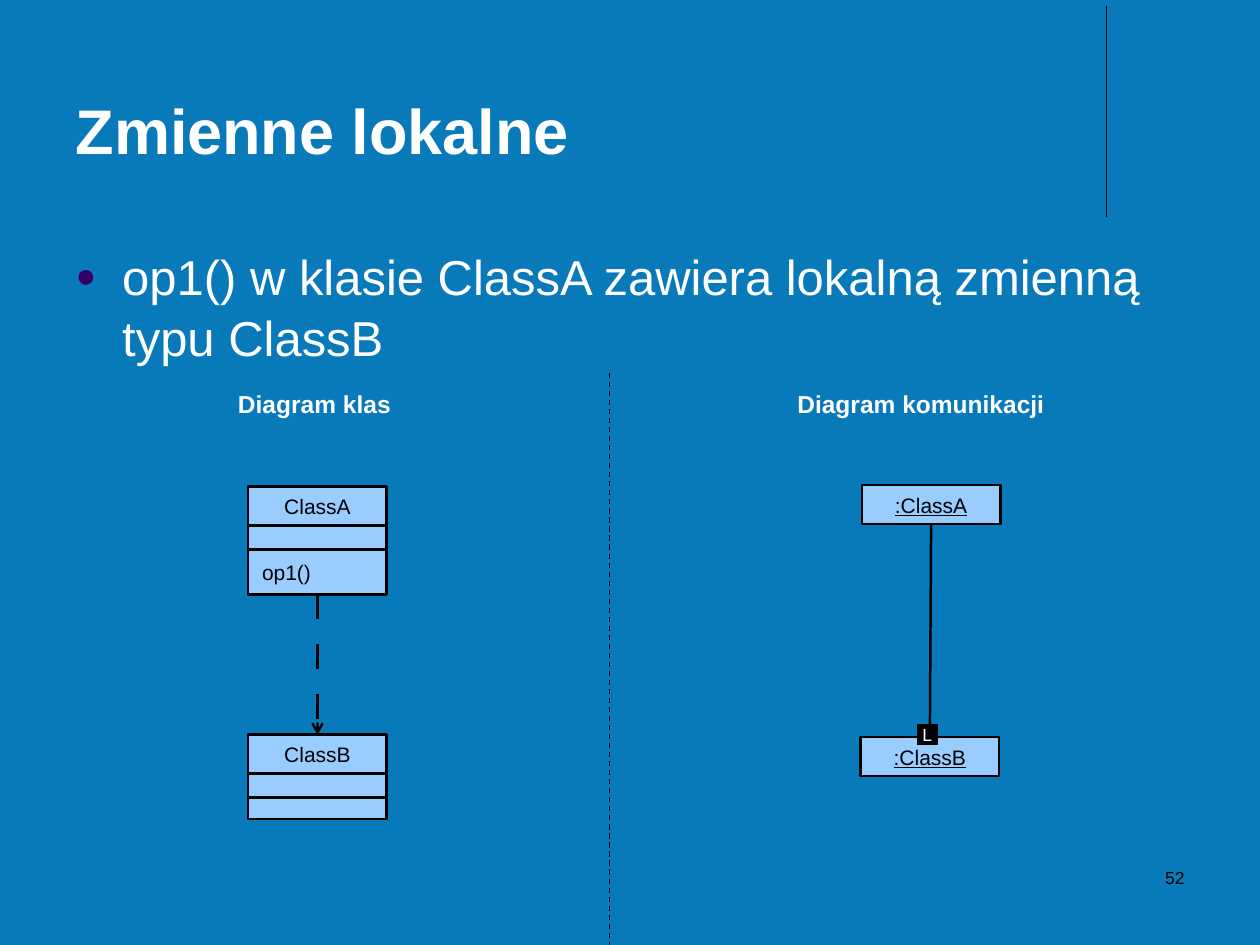
from lxml import etree
from pptx import Presentation
from pptx.dml.color import RGBColor
from pptx.enum.dml import MSO_LINE
from pptx.enum.shapes import MSO_CONNECTOR, MSO_SHAPE
from pptx.enum.text import MSO_ANCHOR, MSO_AUTO_SIZE, PP_ALIGN
from pptx.oxml.ns import qn
from pptx.util import Inches, Pt

RECT = MSO_SHAPE.RECTANGLE
STRAIGHT = MSO_CONNECTOR.STRAIGHT
DASH = MSO_LINE.DASH
LEFT, CENTER, RIGHT = PP_ALIGN.LEFT, PP_ALIGN.CENTER, PP_ALIGN.RIGHT
TOP, MIDDLE, BOTTOM = MSO_ANCHOR.TOP, MSO_ANCHOR.MIDDLE, MSO_ANCHOR.BOTTOM
NO_FIT = MSO_AUTO_SIZE.NONE

FONT = "Arial"
BLACK, WHITE = "000000", "FFFFFF"
BACKGROUND, BOX_FILL, BULLET = "097AB9", "99CCFF", "330066"
BOX_LINE = 1.42
BOX_W, NAME_H, ATTR_H = 1.1, 0.31, 0.19


def color(value):
    return RGBColor.from_string(value)


def write(s, text, size=12, c=BLACK, bold=False, underline=False, align=LEFT,
          anchor=TOP, inset=(0.1, 0.05), wrap=True):
    tf = s.text_frame
    tf.auto_size = NO_FIT
    tf.word_wrap = wrap
    tf.vertical_anchor = anchor
    tf.margin_left = tf.margin_right = Inches(inset[0])
    tf.margin_top = tf.margin_bottom = Inches(inset[1])
    p = tf.paragraphs[0]
    p.alignment = align
    p.space_before = Pt(0)
    r = p.add_run()
    r.text = text
    r.font.name = FONT
    r.font.size = Pt(size)
    r.font.bold = bold
    r.font.underline = underline
    r.font.color.rgb = color(c)
    return p


def place(s, x, y, w, h):
    s.left, s.top, s.width, s.height = (Inches(v) for v in (x, y, w, h))


def add_text(shapes, x, y, w, h, text, **style):
    s = shapes.add_textbox(*(Inches(v) for v in (x, y, w, h)))
    write(s, text, **style)


def add_box(shapes, x, y, h, w=BOX_W, fill=BOX_FILL, line=BOX_LINE):
    s = shapes.add_shape(RECT, *(Inches(v) for v in (x, y, w, h)))
    s.shadow.inherit = False
    s.fill.solid()
    s.fill.fore_color.rgb = color(fill)
    s.line.color.rgb = color(BLACK)
    s.line.width = Pt(line)
    return s


def add_line(shapes, x1, y1, x2, y2, width=BOX_LINE):
    s = shapes.add_connector(STRAIGHT, *(Inches(v) for v in (x1, y1, x2, y2)))
    s.line.color.rgb = color(BLACK)
    s.line.width = Pt(width)
    etree.SubElement(s._element.spPr, qn("a:effectLst"))
    return s


def add_dependency(shapes, x, y1, y2):
    ln = add_line(shapes, x, y1, x, y2).line._get_or_add_ln()
    dash = etree.SubElement(ln, qn("a:custDash"))
    etree.SubElement(dash, qn("a:ds"), d="1000000", sp="1000000")
    etree.SubElement(ln, qn("a:tailEnd"), type="arrow")


def add_class(shapes, x, y, name, operation_h, operation=None):
    group = shapes.add_group_shape().shapes
    box_style = {"anchor": MIDDLE, "inset": (0.11, 0.06)}
    write(add_box(group, x, y, NAME_H), name, align=CENTER, **box_style)
    add_box(group, x, y + NAME_H, ATTR_H)
    s = add_box(group, x, y + NAME_H + ATTR_H, operation_h)
    if operation:
        write(s, operation, **box_style)


def add_object(shapes, x, y, name):
    write(add_box(shapes, x, y, NAME_H), name, underline=True, align=CENTER,
          anchor=MIDDLE, inset=(0.11, 0.06))


def fill_title(s, text):
    place(s, 0.5, 0.13, 8.25, 1.25)
    write(s, text, size=36, c=WHITE, bold=True, anchor=BOTTOM)


def fill_body(s, text):
    place(s, 0.5, 1.88, 9, 1.16)
    p = write(s, text, size=28, c=WHITE)
    p.line_spacing = 1.05
    pPr = p._p.get_or_add_pPr()
    pPr.set("marL", str(Inches(0.37)))
    pPr.set("indent", str(-Inches(0.37)))
    bullet_color = etree.SubElement(pPr, qn("a:buClr"))
    etree.SubElement(bullet_color, qn("a:srgbClr"), val=BULLET)
    etree.SubElement(pPr, qn("a:buSzPct"), val="70000")
    etree.SubElement(pPr, qn("a:buFont"), typeface=FONT)
    etree.SubElement(pPr, qn("a:buChar"), char="●")


def main():
    prs = Presentation()
    prs.slide_width, prs.slide_height = Inches(10), Inches(7.5)
    slide = prs.slides.add_slide(prs.slide_layouts[1])
    slide.background.fill.solid()
    slide.background.fill.fore_color.rgb = color(BACKGROUND)
    shapes = slide.shapes

    add_line(shapes, 8.78, 0.05, 8.78, 1.72, width=0.75)
    fill_title(shapes.title, "Zmienne lokalne")
    fill_body(slide.placeholders[1],
              "op1() w klasie ClassA zawiera lokalną zmienną typu ClassB")

    for x, w, label in ((1.79, 1.41, "Diagram klas"),
                        (6.23, 2.16, "Diagram komunikacji")):
        add_text(shapes, x, 3.04, w, 0.34, label, size=14, c=WHITE,
                 bold=True, wrap=False)
    divider = add_line(shapes, 4.84, 2.96, 4.84, 7.5, width=0.75)
    divider.line.dash_style = DASH

    add_class(shapes, 1.97, 3.86, "ClassA", 0.36, "op1()")
    add_class(shapes, 1.97, 5.83, "ClassB", 0.17)
    add_dependency(shapes, 2.52, 4.72, 5.83)

    add_object(shapes, 6.84, 3.85, ":ClassA")
    add_object(shapes, 6.83, 5.85, ":ClassB")
    add_line(shapes, 7.39, 4.16, 7.38, 5.85)
    marker = add_box(shapes, 7.28, 5.75, 0.16, w=0.16, fill=BLACK, line=0)
    write(marker, "L", size=10, c=WHITE, align=CENTER, anchor=MIDDLE,
          inset=(0, 0))

    add_text(shapes, 7.17, 6.83, 2.33, 0.5, "52", size=10, align=RIGHT)
    prs.save("out.pptx")


if __name__ == "__main__":
    main()
